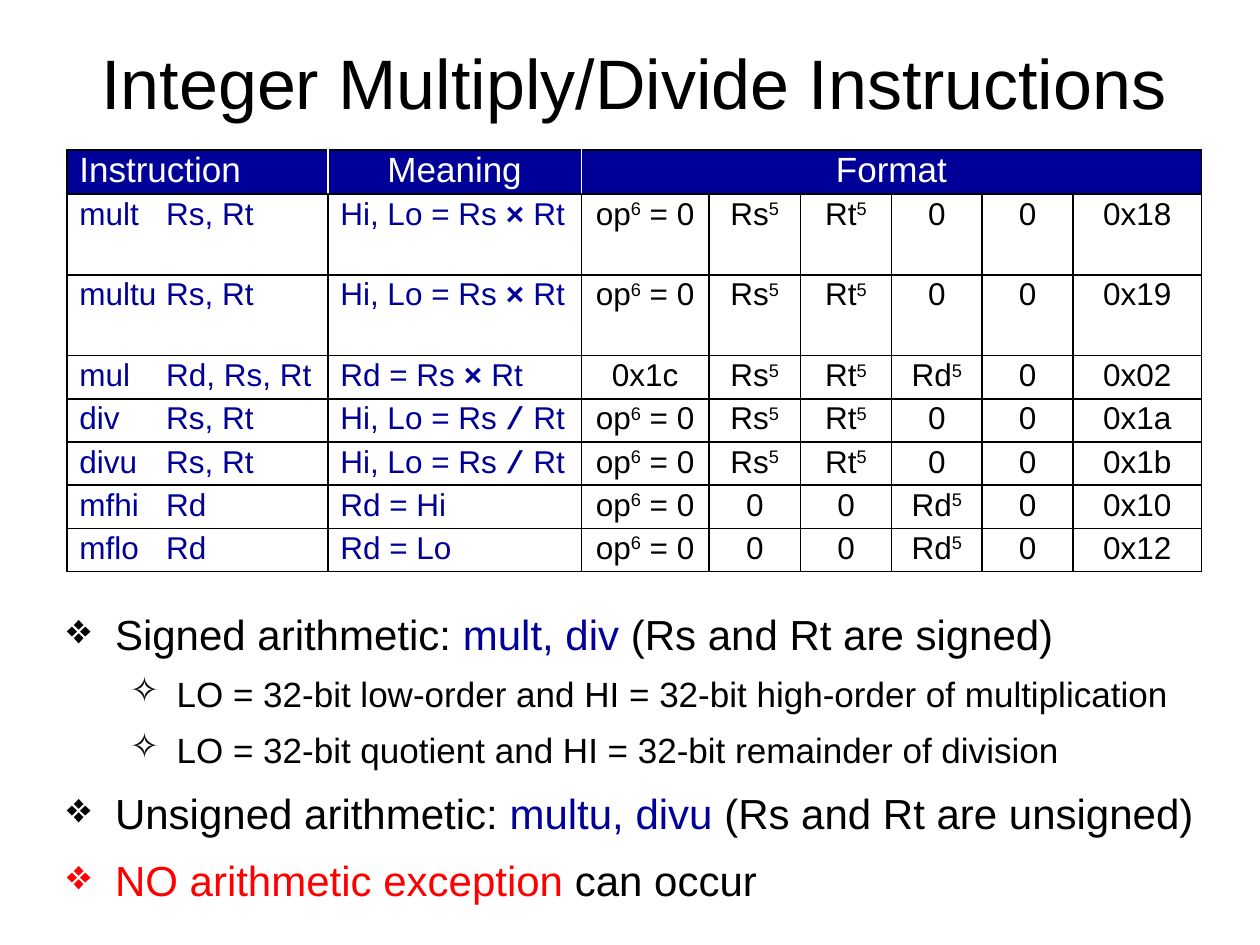
from lxml import etree
from pptx import Presentation
from pptx.dml.color import RGBColor
from pptx.enum.text import MSO_ANCHOR, PP_ALIGN
from pptx.oxml.ns import qn
from pptx.util import Cm, Pt

CENTER, LEFT = PP_ALIGN.CENTER, PP_ALIGN.LEFT
MIDDLE, TOP = MSO_ANCHOR.MIDDLE, MSO_ANCHOR.TOP
BLACK, WHITE, NAVY, RED = "000000", "FFFFFF", "000099", "FF0000"
SUPERSCRIPT = {"baseline": "30000"}
OPERATOR = {"name": "Courier New", "bold": True}


def add_runs(paragraph, marked_text, size, color, accent=None):
    """Add runs from text split by "|"; the second piece takes the accent format."""
    for index, piece in enumerate(marked_text.split("|")):
        if not piece:
            continue
        run = paragraph.add_run()
        run.text = piece
        look = {"name": "Arial", "size": Pt(size), "bold": False, "color": color}
        if index == 1:
            look.update(accent)
        run.font.color.rgb = RGBColor.from_string(look.pop("color"))
        baseline = look.pop("baseline", None)
        if baseline:
            run._r.get_or_add_rPr().set("baseline", baseline)
        for attribute, value in look.items():
            setattr(run.font, attribute, value)


def add_node(parent, tag, **attributes):
    return etree.SubElement(parent, qn(tag), attributes)


prs = Presentation()
prs.slide_width, prs.slide_height = Cm(25.4), Cm(19.05)
slide = prs.slides.add_slide(prs.slide_layouts[5])
left, width = Cm(1.35), Cm(22.86)

title = slide.shapes.title
title.left, title.top, title.width, title.height = left, Cm(0.53), width, Cm(2.21)
title.text_frame.vertical_anchor = MIDDLE
heading = title.text_frame.paragraphs[0]
heading.alignment = CENTER
add_runs(heading, "Integer Multiply/Divide Instructions", 40, BLACK)

# Instruction table
OP, RS, RT, RD = "op|6| = 0", "Rs|5|", "Rt|5|", "Rd|5|"
rows = [
    ["Instruction", "Meaning", "Format", "", "", "", "", ""],
    ["mult\tRs, Rt", "Hi, Lo = Rs |×| Rt", OP, RS, RT, "0", "0", "0x18"],
    ["multu\tRs, Rt", "Hi, Lo = Rs |×| Rt", OP, RS, RT, "0", "0", "0x19"],
    ["mul\tRd, Rs, Rt", "Rd = Rs |×| Rt", "0x1c", RS, RT, RD, "0", "0x02"],
    ["div\tRs, Rt", "Hi, Lo = Rs |/| Rt", OP, RS, RT, "0", "0", "0x1a"],
    ["divu\tRs, Rt", "Hi, Lo = Rs |/| Rt", OP, RS, RT, "0", "0", "0x1b"],
    ["mfhi\tRd", "Rd = Hi", OP, "0", "0", RD, "0", "0x10"],
    ["mflo\tRd", "Rd = Lo", OP, "0", "0", RD, "0", "0x12"],
]
column_widths = [5.26, 5.11, 2.57, 1.85, 1.83, 1.83, 1.83, 2.59]
row_heights = [0.89, 1.63, 1.63] + [0.87] * 5

table = slide.shapes.add_table(
    len(rows), len(column_widths), left, Cm(3.02), width, Cm(sum(row_heights))
).table
table.first_row = table.horz_banding = False
for column, column_width in zip(table.columns, column_widths):
    column.width = Cm(column_width)
for row, row_height in zip(table.rows, row_heights):
    row.height = Cm(row_height)
table.cell(0, 2).merge(table.cell(0, 7))

for row_index, texts in enumerate(rows):
    is_header = row_index == 0
    for column_index, text in enumerate(texts):
        cell = table.cell(row_index, column_index)
        cell.margin_left = cell.margin_right = Cm(0.25)
        cell.margin_top = cell.margin_bottom = Cm(0.03 if is_header else 0.05)
        cell.vertical_anchor = TOP

        edges = dict.fromkeys(["a:lnL", "a:lnR", "a:lnT", "a:lnB"], BLACK)
        if is_header and column_index in (1, 2):
            edges["a:lnL"] = WHITE
        if is_header and column_index in (0, 1):
            edges["a:lnR"] = WHITE
        for edge, edge_color in edges.items():
            line = add_node(cell._tc.get_or_add_tcPr(), edge, w=str(Pt(1)))
            add_node(add_node(line, "a:solidFill"), "a:srgbClr", val=edge_color)

        if is_header:
            cell.fill.solid()
            cell.fill.fore_color.rgb = RGBColor.from_string(NAVY)
        else:
            cell.fill.background()

        paragraph = cell.text_frame.paragraphs[0]
        centered = column_index > 1 or (is_header and column_index == 1)
        paragraph.alignment = CENTER if centered else LEFT
        if "\t" in text:
            tabs = add_node(paragraph._p.get_or_add_pPr(), "a:tabLst")
            add_node(tabs, "a:tab", pos=str(Cm(1.75)), algn="l")
        if is_header:
            add_runs(paragraph, text, 20, WHITE)
        elif column_index < 2:
            add_runs(paragraph, text, 18, NAVY, OPERATOR)
        else:
            add_runs(paragraph, text, 18, BLACK, SUPERSCRIPT)

# Notes on signed and unsigned arithmetic
points = [
    (0, "Signed arithmetic: |mult, div |(Rs and Rt are signed)", NAVY),
    (1, "LO = 32-bit low-order and HI = 32-bit high-order of multiplication", None),
    (1, "LO = 32-bit quotient and HI = 32-bit remainder of division", None),
    (0, "Unsigned arithmetic: |multu, divu |(Rs and Rt are unsigned)", NAVY),
    (0, "|NO arithmetic exception| can occur", RED),
]
levels = [
    {"bullet": "❖", "size": 24, "margin": 0.97, "hanging": 0.97},
    {"bullet": "✧", "size": 20, "margin": 2.21, "hanging": 0.94},
]
points_frame = slide.shapes.add_textbox(left, Cm(12.14), width, Cm(6.6)).text_frame
points_frame.word_wrap = True
points_frame.vertical_anchor = TOP
points_frame.margin_left = points_frame.margin_right = 0
for index, (level, text, accent_color) in enumerate(points):
    paragraph = points_frame.add_paragraph() if index else points_frame.paragraphs[0]
    paragraph.level = level
    style = levels[level]
    properties = paragraph._p.get_or_add_pPr()
    properties.set("marL", str(Cm(style["margin"])))
    properties.set("indent", str(-Cm(style["hanging"])))
    if index:
        add_node(add_node(properties, "a:spcBef"), "a:spcPct", val="40000")
    add_node(properties, "a:buChar", char=style["bullet"])
    add_runs(paragraph, text, style["size"], BLACK, {"color": accent_color})

prs.save("out.pptx")
